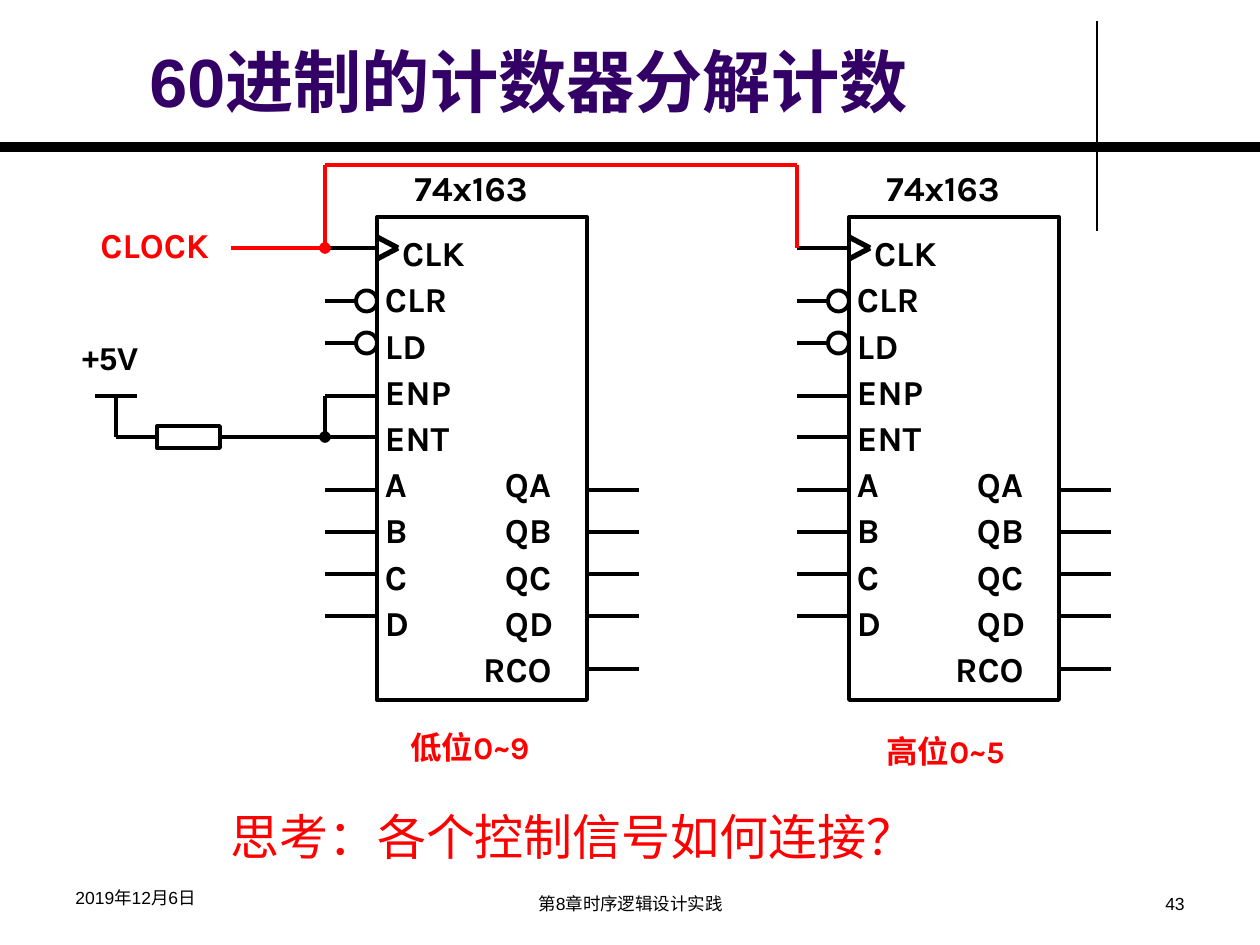
from lxml import etree
from pptx import Presentation
from pptx import util as u
from pptx.dml.color import RGBColor
from pptx.enum import shapes, text
from pptx.oxml.ns import qn

BLACK, RED, PURPLE = "000000", "FF0000", "330066"
PX_PER_INCH = 126

CHIP_TOP, CHIP_WIDTH, CHIP_HEIGHT = 217, 210, 483
CHIP_LEFTS = {"低位0~9": 377, "高位0~5": 849}
LEAD = 52  # length of a pin
BUBBLE = 21  # diameter of an inverting input
CLOCK_Y, ENP_Y, ENT_Y = 248, 396, 437
BUBBLE_YS = [301, 343]
DATA_YS = [490 + 42 * row for row in range(4)]
RCO_Y = 669
PIN_NAMES = ["CLK", "CLR", "LD", "ENP", "ENT",
             "A\tQA", "B\tQB", "C\tQC", "D\tQD", "\tRCO"]


def px(length):
    return u.Emu(round(length * u.Inches(1) / PX_PER_INCH))


def color(code):
    return RGBColor.from_string(code)


def write(frame, content, size=20, font="Karla", ink=BLACK, bold=True, wrap=False,
          align=text.PP_ALIGN.LEFT, anchor=text.MSO_ANCHOR.TOP, spacing=None):
    """Fill a text frame, one paragraph for each line of the content."""
    frame.word_wrap = wrap
    frame.vertical_anchor = anchor
    for index, line in enumerate(content.split("\n")):
        para = frame.add_paragraph() if index else frame.paragraphs[0]
        para.alignment = align
        if spacing:
            para.line_spacing = spacing
        span = para.add_run()
        span.text = line
        span.font.size = u.Pt(size)
        span.font.name = font
        span.font.bold = bold
        span.font.color.rgb = color(ink)


def add_label(page, content, left, top, width, height, **style):
    box = page.shapes.add_textbox(px(left), px(top), px(width), px(height))
    write(box.text_frame, content, **style)


def add_outline(page, kind, left, top, width, height):
    shape = page.shapes.add_shape(kind, px(left), px(top), px(width), px(height))
    shape.shadow.inherit = False
    shape.fill.background()
    shape.line.color.rgb = color(BLACK)
    shape.line.width = u.Pt(2.25)
    return shape


def add_wire(page, x1, y1, x2, y2, ink=BLACK, weight=2.25, dot=False):
    """Draw a straight wire, with a junction dot at its end if asked."""
    wire = page.shapes.add_connector(
        shapes.MSO_CONNECTOR.STRAIGHT, px(x1), px(y1), px(x2), px(y2))
    wire.line.color.rgb = color(ink)
    wire.line.width = u.Pt(weight)
    if dot:
        etree.SubElement(wire.line._get_or_add_ln(), qn("a:tailEnd"), type="oval")
    etree.SubElement(wire._element.spPr, qn("a:effectLst"))
    return wire


def set_indent(para, indent):
    para._p.get_or_add_pPr().set("marL", str(px(indent)))


def set_tab(para, position):
    tabs = etree.SubElement(para._p.get_or_add_pPr(), qn("a:tabLst"))
    etree.SubElement(tabs, qn("a:tab"), pos=str(px(position)), algn="l")


def add_chip(page, left):
    right = left + CHIP_WIDTH
    body = add_outline(page, shapes.MSO_SHAPE.RECTANGLE,
                       left, CHIP_TOP, CHIP_WIDTH, CHIP_HEIGHT)
    frame = body.text_frame
    frame.margin_left = px(8)
    write(frame, "\n".join(PIN_NAMES), wrap=True,
          anchor=text.MSO_ANCHOR.MIDDLE, spacing=1.1)
    set_indent(frame.paragraphs[0], 17)
    for name, para in zip(PIN_NAMES, frame.paragraphs):
        if "\t" in name:
            set_tab(para, 98 if name.endswith("RCO") else 120)

    # Clock edge mark
    for side in (-11, 11):
        add_wire(page, left, CLOCK_Y + side, left + BUBBLE, CLOCK_Y, weight=3)
    # Inputs, inverted ones with a bubble
    for y in BUBBLE_YS:
        add_outline(page, shapes.MSO_SHAPE.OVAL, left - BUBBLE, y - BUBBLE / 2,
                    BUBBLE, BUBBLE)
        add_wire(page, left - LEAD, y, left - BUBBLE, y)
    for y in [CLOCK_Y, ENP_Y, ENT_Y, *DATA_YS]:
        add_wire(page, left - LEAD, y, left, y)
    # Outputs
    for y in [*DATA_YS, RCO_Y]:
        add_wire(page, right, y, right + LEAD, y)
    add_label(page, "74x163", left + 25, 160, 159, 54)


def add_supply(page, junction):
    """Pull ENP and ENT up to +5V through a resistor."""
    rail = 116
    resistor = add_outline(page, shapes.MSO_SHAPE.RECTANGLE, 157, ENT_Y - 11, 63, 22)
    output = add_wire(page, 220, ENT_Y, junction, ENT_Y)
    output.begin_connect(resistor, 3)
    supply = add_wire(page, rail, ENT_Y, 157, ENT_Y)
    supply.end_connect(resistor, 1)
    add_wire(page, junction, ENP_Y, junction, ENT_Y, dot=True)
    add_wire(page, rail, ENT_Y, rail, ENP_Y)
    add_wire(page, rail - 21, ENP_Y, rail + 21, ENP_Y)
    add_label(page, "+5V", 69, 333, 88, 63, size=18, font="Arial")


def add_clock(page, first, second):
    """Feed both chips from one clock."""
    bus = 165
    add_wire(page, first, bus, first, CLOCK_Y, ink=RED, dot=True)
    add_wire(page, 231, CLOCK_Y, first, CLOCK_Y, ink=RED)
    add_wire(page, first, bus, second, bus, ink=RED)
    add_wire(page, second, CLOCK_Y, second, bus, ink=RED)
    add_label(page, "CLOCK", 88, 217, 144, 54, ink=RED)


def add_footer(page):
    small = dict(size=10, font="Arial", bold=False, wrap=True)
    add_label(page, "2019年12月6日", 63, 881, 294, 43, **small)
    add_label(page, "第8章时序逻辑设计实践", 431, 887, 399, 37,
              align=text.PP_ALIGN.CENTER, **small)
    add_label(page, "43", 903, 887, 294, 37, align=text.PP_ALIGN.RIGHT, **small)


def main():
    deck = Presentation()
    deck.slide_width, deck.slide_height = px(1260), px(945)
    page = deck.slides.add_slide(deck.slide_layouts[6])

    # Rules and title
    add_wire(page, 1097, 21, 1097, 231, weight=0.75)
    add_wire(page, 0, 147, 1260, 147, weight=6)
    add_label(page, "60进制的计数器分解计数", 137, 25, 951, 102, size=39, font="Arial",
              ink=PURPLE, wrap=True, anchor=text.MSO_ANCHOR.BOTTOM)

    # Circuit
    for left in CHIP_LEFTS.values():
        add_chip(page, left)
    first, second = (left - LEAD for left in CHIP_LEFTS.values())
    add_supply(page, first)
    add_clock(page, first, second)

    # Captions and question
    for (caption, left), x, y in zip(CHIP_LEFTS.items(), (398, 874), (722, 726)):
        add_label(page, caption, x, y, 156, 50, size=18, ink=RED)
    add_label(page, "思考：各个控制信号如何连接？", 218, 800, 721, 72, size=28,
              font="Arial", ink=RED, bold=False, wrap=True)
    add_footer(page)

    deck.save("out.pptx")


if __name__ == "__main__":
    main()
